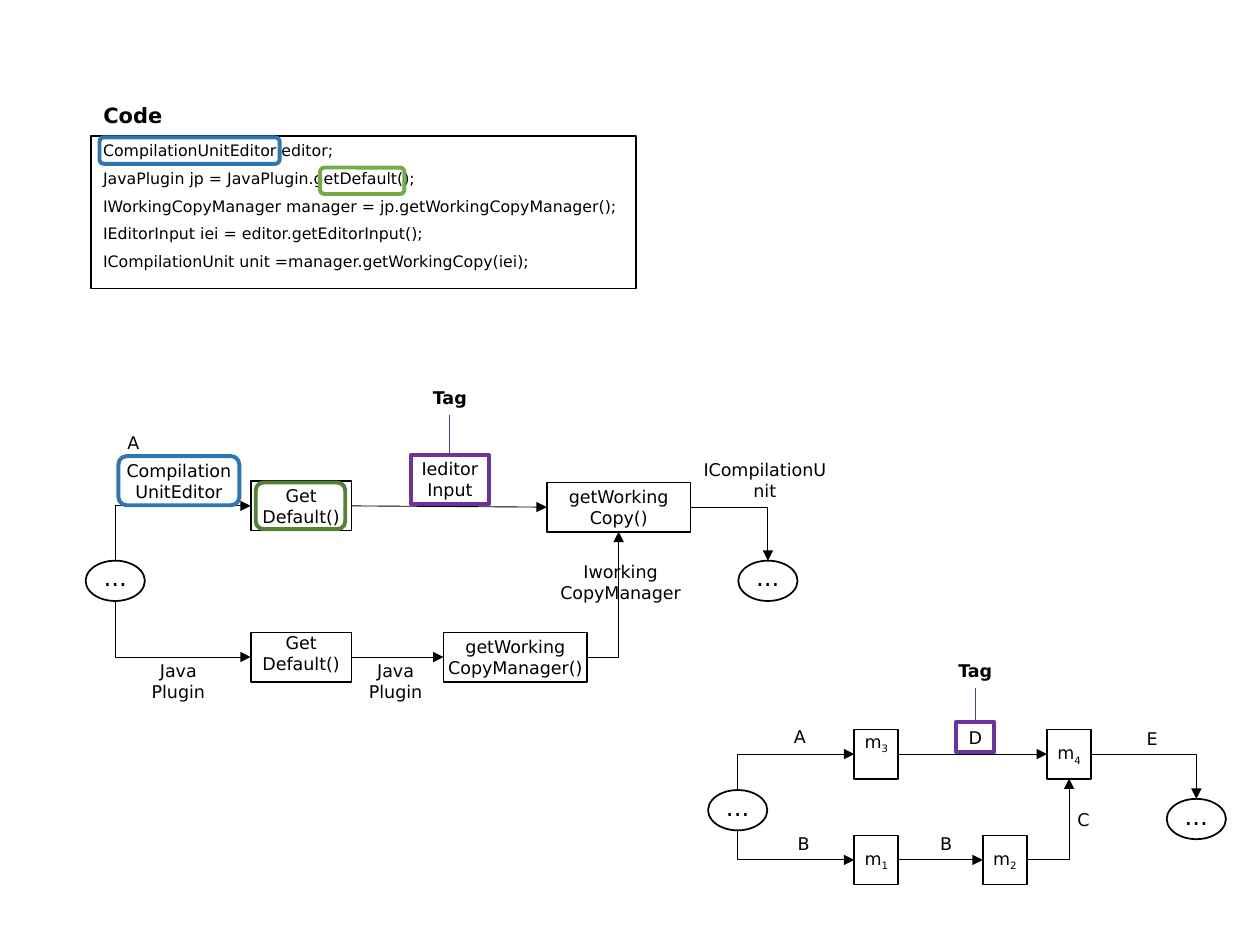
from dataclasses import dataclass
from lxml.etree import SubElement
from pptx import Presentation
from pptx.dml.color import RGBColor
from pptx.enum.shapes import MSO_CONNECTOR as LINK, MSO_SHAPE as SHAPE
from pptx.enum.text import MSO_ANCHOR as ANCHOR, PP_ALIGN as ALIGN
from pptx.oxml.ns import qn
from pptx.util import Inches, Pt


@dataclass(frozen=True)
class Theme:
    font: str = "DejaVu Sans"
    ink: str = "000000"
    paper: str = "FFFFFF"
    purple: str = "7030A0"
    blue: str = "2E75B6"
    green: str = "70AD47"
    dark_green: str = "548235"
    title: int = 12
    dots: int = 14
    body: int = 10
    code: int = 9
    outline: float = 1
    accent: float = 2.25
    link: float = 0.5
    inset: float = 0.3


T = Theme()
COLS, ROWS = 100, 75
WIDTH, HEIGHT = Inches(10), Inches(7.5)

CODE = [
    "CompilationUnitEditor editor;",
    "JavaPlugin jp = JavaPlugin.getDefault();",
    "IWorkingCopyManager manager = jp.getWorkingCopyManager();",
    "IEditorInput iei = editor.getEditorInput();",
    "ICompilationUnit unit =manager.getWorkingCopy(iei);",
]


def col(n):
    return round(n * WIDTH / COLS)


def row(n):
    return round(n * HEIGHT / ROWS)


def rgb(color):
    return RGBColor.from_string(color)


def add_run(p, text, size=T.body, bold=False, sub=False):
    r = p.add_run()
    r.text = text
    r.font.name = T.font
    r.font.size = Pt(size)
    r.font.bold = bold
    r.font.color.rgb = rgb(T.ink)
    if sub:
        r.font._element.set("baseline", "-25000")


def add_label(slide, text, x, y, w, h, bold=False):
    sp = slide.shapes.add_textbox(col(x), row(y), col(w), row(h))
    tf = sp.text_frame
    tf.word_wrap = True
    p = tf.paragraphs[0]
    p.alignment = ALIGN.CENTER
    add_run(p, text, bold=bold)


def add_frame(slide, kind, x, y, w, h, color=T.ink, weight=T.outline):
    sp = slide.shapes.add_shape(kind, col(x), row(y), col(w), row(h))
    sp.shadow.inherit = False
    sp.fill.background()
    sp.line.color.rgb = rgb(color)
    sp.line.width = Pt(weight)
    return sp


def add_node(slide, text, x, y, w, h, kind=SHAPE.RECTANGLE, sub="", size=T.body,
             lift=0, color=T.ink, weight=T.outline):
    sp = add_frame(slide, kind, x, y, w, h, color, weight)
    tf = sp.text_frame
    tf.word_wrap = True
    tf.vertical_anchor = ANCHOR.MIDDLE
    tf.margin_left = tf.margin_right = col(T.inset)
    tf.margin_top, tf.margin_bottom = 0, row(2 * lift)
    p = tf.paragraphs[0]
    p.alignment = ALIGN.CENTER
    add_run(p, text, size)
    if sub:
        add_run(p, sub, size, sub=True)
    return sp


def add_dots(slide, x, y):
    return add_node(slide, "...", x, y, 4.7, 3.2, SHAPE.OVAL, size=T.dots, lift=0.3)


def left(sp):
    return sp.left, sp.top + sp.height // 2


def right(sp):
    return sp.left + sp.width, sp.top + sp.height // 2


def top(sp):
    return sp.left + sp.width // 2, sp.top


def bottom(sp):
    return sp.left + sp.width // 2, sp.top + sp.height


def add_link(slide, start, end, arrow="tailEnd", bent=False, color=T.ink):
    kind = LINK.ELBOW if bent else LINK.STRAIGHT
    cx = slide.shapes.add_connector(kind, *start, *end)
    cx.line.color.rgb = rgb(color)
    cx.line.width = Pt(T.link)
    pr = cx._element.spPr
    if bent:
        pr.find(qn("a:prstGeom")).set("prst", "bentConnector2")
    if arrow:
        SubElement(pr.find(qn("a:ln")), qn("a:" + arrow), type="triangle")
    SubElement(pr, qn("a:effectLst"))


def add_tag(slide, target, y):
    x, edge = top(target)
    add_label(slide, "Tag", x / col(1) - 2.7, y, 5.4, 2.7, bold=True)
    add_link(slide, (x, edge), (x, row(y + 2.7)), arrow=None, color=T.purple)


def link_graph(slide, start, upper, join, lower, middle, finish):
    add_link(slide, left(upper), top(start), "headEnd", bent=True)
    add_link(slide, left(lower), bottom(start), "headEnd", bent=True)
    add_link(slide, right(upper), left(join))
    add_link(slide, right(lower), left(middle))
    add_link(slide, right(middle), bottom(join), bent=True)
    add_link(slide, right(join), top(finish), bent=True)


def add_code(slide):
    title = slide.shapes.title
    title.left, title.top, title.width, title.height = col(7.2), row(7.6), col(10.7), row(3)
    title.text_frame.vertical_anchor = ANCHOR.TOP
    p = title.text_frame.paragraphs[0]
    p.alignment = ALIGN.LEFT
    add_run(p, "Code", T.title, bold=True)

    sp = add_frame(slide, SHAPE.RECTANGLE, 7.2, 10.8, 43.3, 12.1)
    sp.fill.solid()
    sp.fill.fore_color.rgb = rgb(T.paper)
    tf = sp.text_frame
    tf.word_wrap = True
    tf.vertical_anchor = ANCHOR.TOP
    tf.margin_top = row(0.4)
    for i, line in enumerate(CODE):
        p = tf.add_paragraph() if i else tf.paragraphs[0]
        p.alignment = ALIGN.LEFT
        p.space_before = Pt(5 if i else 0)
        add_run(p, line, T.code)

    add_frame(slide, SHAPE.ROUNDED_RECTANGLE, 7.9, 10.9, 14.3, 2.1, T.blue, T.accent)
    add_frame(slide, SHAPE.ROUNDED_RECTANGLE, 25.4, 13.3, 6.7, 2.1, T.green, T.accent)


def add_call_graph(slide):
    start, finish = add_dots(slide, 6.8, 44.5), add_dots(slide, 58.6, 44.5)
    upper = add_node(slide, "Get Default()", 19.9, 38.2, 8, 3.9)
    lower = add_node(slide, "Get Default()", 19.9, 50.2, 8, 3.9, lift=0.3)
    middle = add_node(slide, "getWorking CopyManager()", 35.2, 50.2, 11.4, 3.9)
    join = add_node(slide, "getWorking Copy()", 43.4, 38.3, 11.4, 3.9)
    link_graph(slide, start, upper, join, lower, middle, finish)

    add_node(slide, "CompilationUnitEditor", 9.4, 36.2, 9.6, 3.9,
             SHAPE.ROUNDED_RECTANGLE, color=T.blue, weight=T.accent)
    add_frame(slide, SHAPE.ROUNDED_RECTANGLE, 20.3, 38.3, 7.1, 3.7, T.dark_green, T.accent)
    tagged = add_node(slide, "Ieditor Input", 32.6, 36.1, 6.2, 3.9,
                      color=T.purple, weight=T.accent)
    add_tag(slide, tagged, 30.2)
    for text, x, y, w, h in [
        ("A", 9.4, 33.8, 1.7, 2.7),
        ("ICompilationUnit", 54.8, 35.9, 11.8, 4.4),
        ("Iworking CopyManager", 43.4, 44, 11.7, 4.4),
        ("Java Plugin", 10.7, 51.9, 6.9, 4.4),
        ("Java Plugin", 27.6, 51.9, 7.6, 4.4),
    ]:
        add_label(slide, text, x, y, w, h)


def add_short_graph(slide):
    start, finish = add_dots(slide, 56.2, 62.7), add_dots(slide, 92.6, 63.4)
    m1, m2, m3, m4 = [
        add_node(slide, "m", x, y, 3.5, 3.9, sub=str(i), lift=lift)
        for i, (x, y, lift) in enumerate(
            [(67.8, 66.3, 0), (78, 66.3, 0), (67.8, 57.9, 0.9), (83.1, 57.9, 0)], 1)
    ]
    link_graph(slide, start, m3, m4, m1, m2, finish)

    tagged = add_node(slide, "D", 75.9, 57.3, 3, 2.4, color=T.purple, weight=T.accent)
    add_tag(slide, tagged, 51.9)
    for text, x, y in [("A", 62.3, 57.1), ("E", 90.3, 57.3), ("B", 62.6, 65.6),
                       ("B", 73.9, 65.6), ("C", 84.8, 63.7)]:
        add_label(slide, text, x, y, 1.7, 2.7)


def main():
    prs = Presentation()
    prs.slide_width, prs.slide_height = WIDTH, HEIGHT
    s = prs.slides.add_slide(prs.slide_layouts[5])
    add_code(s)
    add_call_graph(s)
    add_short_graph(s)
    prs.save("out.pptx")


main()
